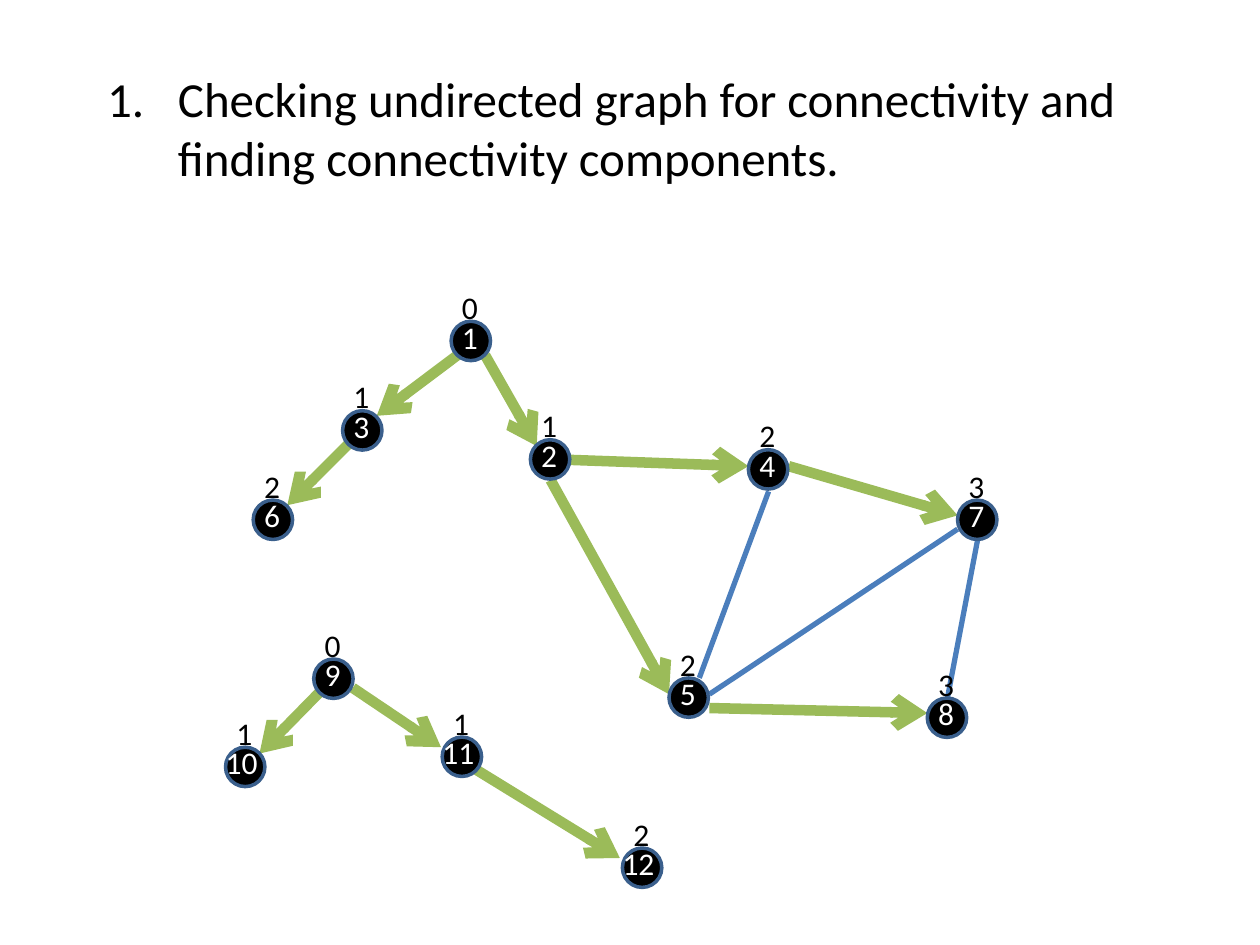
from lxml.etree import SubElement
from pptx import Presentation
from pptx.dml.color import RGBColor
from pptx.enum.shapes import MSO_CONNECTOR as Connector, MSO_SHAPE as Preset
from pptx.enum.text import MSO_ANCHOR as Anchor, MSO_AUTO_SIZE as Fit, PP_ALIGN as Align
from pptx.oxml.ns import qn
from pptx.util import Pt

NODES = {
    1: (257.8, 183.6, 0), 2: (303.1, 251.3, 1), 3: (195.8, 234.7, 1),
    4: (427.7, 257, 2), 5: (382.3, 387.4, 2), 6: (144.7, 285.8, 2),
    7: (547.2, 285.8, 3), 8: (529.9, 398.9, 3), 9: (179.3, 376.6, 0),
    10: (128.9, 427, 1), 11: (252.7, 421.2, 1), 12: (355.7, 484.6, 2),
}
TREE_EDGES = [
    (261.4, 203, 215.3, 237.6),
    (198.7, 254.2, 164.2, 288.7),
    (277.2, 203, 306.7, 254.9),
    (326.2, 262.8, 427.7, 266.4),
    (450.7, 266.4, 547.2, 294.5),
    (314.6, 274.3, 382.3, 396.7),
    (405.4, 404.6, 529.9, 407.5),
    (182.9, 395.3, 148.3, 430.6),
    (272.2, 439.9, 354.2, 490.3),
    (201.6, 393.1, 252, 427),
]
OTHER_EDGES = [
    (558.7, 308.2, 541.4, 398.9),
    (439.2, 280.8, 399.6, 387.4),
    (547.2, 302.4, 405.4, 396.7),
]


def color(value):
    """Turn a hex string into a colour."""
    return RGBColor.from_string(value)


class GraphPage:
    """Hold the style and the current slide."""

    font = "Calibri"
    black, white = "000000", "FFFFFF"
    green, blue, rim = "9BBB59", "4B7EBC", "3A5F8C"
    diameter = 22.5

    def __init__(self, deck):
        """Add a title-only slide."""
        self.page = deck.slides.add_slide(deck.slide_layouts[5])

    def add_span(self, para, text, size, ink):
        """Add one styled run."""
        span = para.add_run()
        span.text = text
        span.font.name = self.font
        span.font.size = Pt(size)
        span.font.color.rgb = color(ink)

    def title(self, text):
        """Fill the title as a numbered paragraph."""
        box = self.page.shapes.title
        box.left, box.top, box.width, box.height = Pt(54), Pt(15), Pt(612), Pt(116)
        frame = box.text_frame
        frame.vertical_anchor = Anchor.MIDDLE
        frame.auto_size = Fit.NONE
        para = frame.paragraphs[0]
        para.alignment = Align.LEFT
        props = para._p.get_or_add_pPr()
        props.set("marL", str(Pt(40.5)))
        props.set("indent", str(-Pt(40.5)))
        SubElement(props, qn("a:buFont"), typeface="+mj-lt")
        SubElement(props, qn("a:buAutoNum"), type="arabicPeriod")
        self.add_span(para, text, 28, self.black)

    def edge(self, ends, ink, weight, arrow=False):
        """Draw a line, with an arrowhead for a tree edge."""
        line = self.page.shapes.add_connector(Connector.STRAIGHT, *map(Pt, ends))
        line.line.color.rgb = color(ink)
        line.line.width = Pt(weight)
        props = line._element.spPr
        if arrow:
            SubElement(props.find(qn("a:ln")), qn("a:tailEnd"), type="arrow")
        SubElement(props, qn("a:effectLst"))

    def label(self, left, top, text, ink):
        """Put a number in a box that fits it."""
        width = 14.6 + 9.2 * len(text)
        box = self.page.shapes.add_textbox(Pt(left), Pt(top), Pt(width), Pt(29))
        box.text_frame.word_wrap = False
        box.text_frame.auto_size = Fit.SHAPE_TO_FIT_TEXT
        self.add_span(box.text_frame.paragraphs[0], text, 18, ink)

    def node(self, number, left, top, depth):
        """Draw a numbered circle with its depth above."""
        size = Pt(self.diameter)
        disc = self.page.shapes.add_shape(Preset.OVAL, Pt(left), Pt(top), size, size)
        disc.shadow.inherit = False
        disc.fill.solid()
        disc.fill.fore_color.rgb = color(self.black)
        disc.line.color.rgb = color(self.rim)
        disc.line.width = Pt(2)
        shift = 0.9 if number < 10 else 7
        self.label(left - 0.9, top - 22.6, str(depth), self.black)
        self.label(left - shift, top - 5.7, str(number), self.white)


deck = Presentation()
deck.slide_width, deck.slide_height = Pt(720), Pt(540)
graph = GraphPage(deck)
graph.title("Checking undirected graph for connectivity and finding connectivity components.")
for ends in TREE_EDGES:
    graph.edge(ends, graph.green, 6, arrow=True)
for ends in OTHER_EDGES:
    graph.edge(ends, graph.blue, 3)
for number, (left, top, depth) in NODES.items():
    graph.node(number, left, top, depth)
deck.save("out.pptx")
